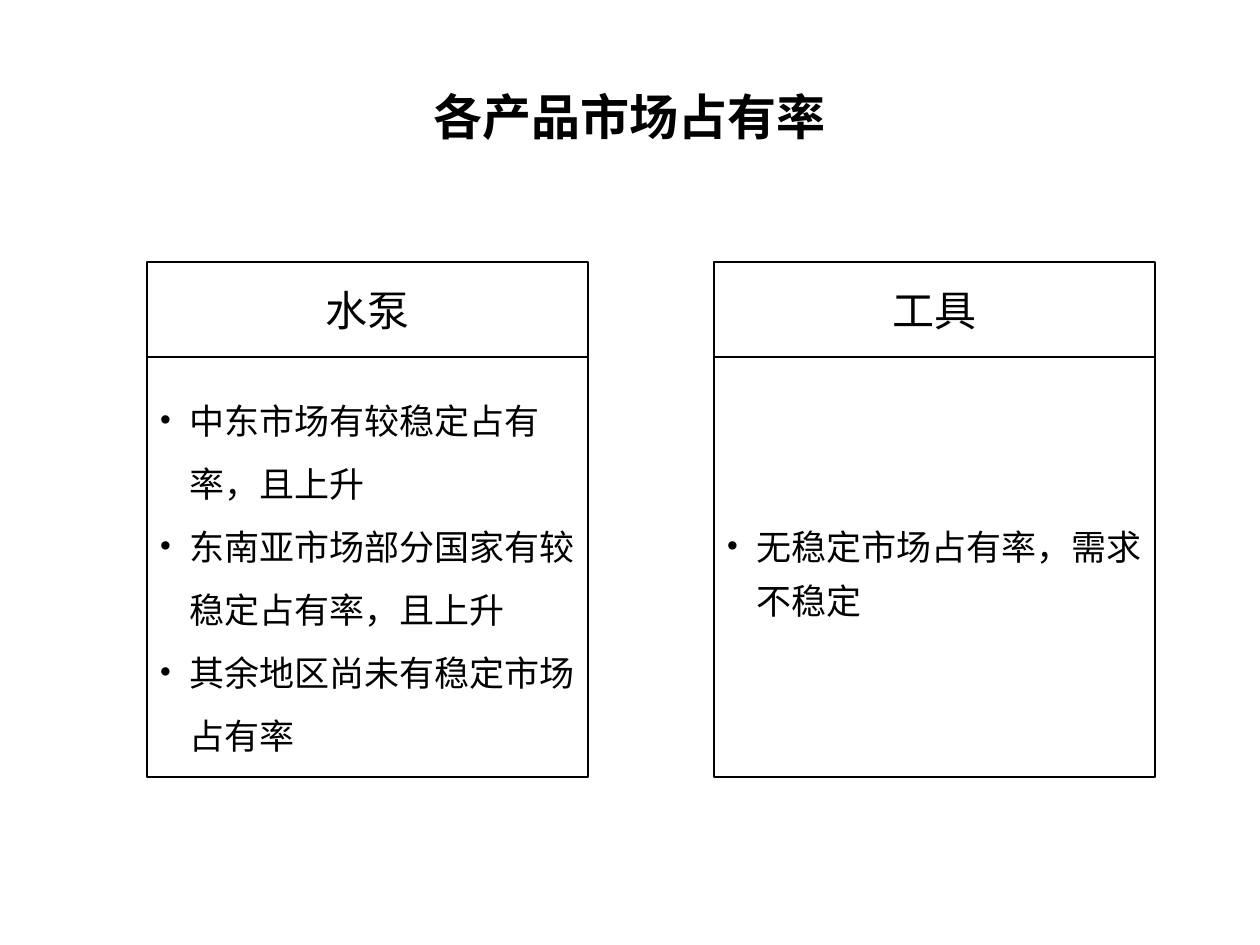
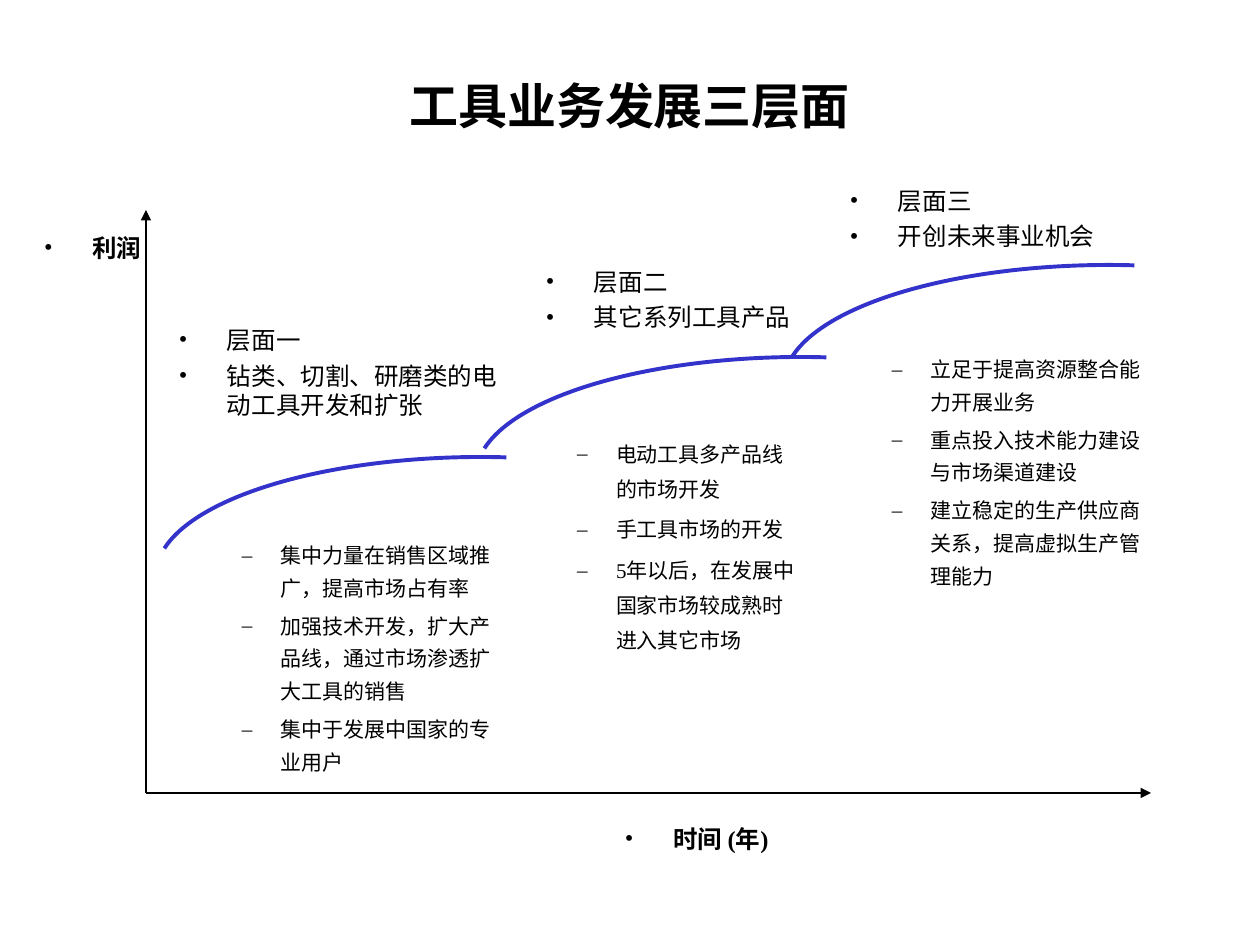
import pptx
import pptx.dml.color
import pptx.enum.shapes
import pptx.enum.text
import pptx.oxml.ns
import pptx.util
from lxml import etree

PX = 914400 / 126
FONT = "Times New Roman"
BLACK = pptx.dml.color.RGBColor(0x00, 0x00, 0x00)
WHITE = pptx.dml.color.RGBColor(0xFF, 0xFF, 0xFF)
CURVE_BLUE = pptx.dml.color.RGBColor(0x33, 0x33, 0xCC)

CENTER = pptx.enum.text.PP_ALIGN.CENTER
LEFT = pptx.enum.text.PP_ALIGN.LEFT
MIDDLE = pptx.enum.text.MSO_ANCHOR.MIDDLE

# Left edge, heading, line spacing, points
PRODUCTS = [
    (147, "水泵", 1.5, ["中东市场有较稳定占有率，且上升",
                      "东南亚市场部分国家有较稳定占有率，且上升",
                      "其余地区尚未有稳定市场占有率"]),
    (714, "工具", 1.3, ["无稳定市场占有率，需求不稳定"]),
]

# Curve corner, heading box, heading lines, notes box, line spacing, notes
HORIZONS = [
    ((156, 457), (179, 325, 328, 95),
     ["层面一", "钻类、切割、研磨类的电动工具开发和扩张"],
     (179, 535, 328, 239), 1.3,
     ["集中力量在销售区域推广，提高市场占有率",
      "加强技术开发，扩大产品线，通过市场渗透扩大工具的销售",
      "集中于发展中国家的专业用户"]),
    ((476, 357), (546, 267, 328, 66),
     ["层面二", "其它系列工具产品"],
     (514, 431, 285, 222), 1.4,
     ["电动工具多产品线的市场开发",
      "手工具市场的开发",
      "5年以后，在发展中国家市场较成熟时进入其它市场"]),
    ((784, 265), (850, 186, 328, 66),
     ["层面三", "开创未来事业机会"],
     (829, 349, 328, 239), 1.3,
     ["立足于提高资源整合能力开展业务",
      "重点投入技术能力建设与市场渠道建设",
      "建立稳定的生产供应商关系，提高虚拟生产管理能力"]),
]


def px(length):
    return pptx.util.Emu(round(length * PX))


def place(box):
    return [px(length) for length in box]


def add_run(paragraph, text, size, bold=False):
    run = paragraph.add_run()
    run.text = text
    run.font.name = FONT
    run.font.size = pptx.util.Pt(size)
    run.font.bold = bold
    run.font.color.rgb = BLACK


def set_bullet(paragraph, char, margin, hanging):
    """Give a paragraph a hanging bullet and keep punctuation inside the box."""
    properties = paragraph._p.get_or_add_pPr()
    properties.set("marL", str(px(margin)))
    properties.set("indent", str(-px(hanging)))
    properties.set("hangingPunct", "0")
    etree.SubElement(properties, pptx.oxml.ns.qn("a:buFont")).set("typeface", FONT)
    etree.SubElement(properties, pptx.oxml.ns.qn("a:buChar")).set("char", char)


def write_list(frame, lines, size, char, margin, hanging,
               spacing=1.0, before=0, bold=False, level=0):
    for index, line in enumerate(lines):
        paragraph = frame.add_paragraph() if index else frame.paragraphs[0]
        set_bullet(paragraph, char, margin, hanging)
        paragraph.level = level
        paragraph.alignment = LEFT
        paragraph.line_spacing = spacing
        paragraph.space_before = pptx.util.Pt(before if index else 0)
        add_run(paragraph, line, size, bold)


def add_titled_slide(deck, title, height):
    slide = deck.slides.add_slide(deck.slide_layouts[5])
    heading = slide.shapes.title
    heading.left, heading.top, heading.width, heading.height = place((94, 84, 1071, height))
    frame = heading.text_frame
    frame.auto_size = pptx.enum.text.MSO_AUTO_SIZE.NONE
    frame.vertical_anchor = MIDDLE
    frame.paragraphs[0].alignment = CENTER
    add_run(frame.paragraphs[0], title, 28, bold=True)
    return slide


def add_panel(slide, box):
    """Add a white outlined rectangle and return its text frame."""
    panel = slide.shapes.add_shape(pptx.enum.shapes.MSO_SHAPE.RECTANGLE, *place(box))
    panel.shadow.inherit = False
    panel.fill.solid()
    panel.fill.fore_color.rgb = WHITE
    panel.line.color.rgb = BLACK
    panel.line.width = pptx.util.Pt(0.75)
    frame = panel.text_frame
    frame.word_wrap = True
    frame.vertical_anchor = MIDDLE
    return frame


def add_text_box(slide, box):
    """Add a text box without insets and return its text frame."""
    frame = slide.shapes.add_textbox(*place(box)).text_frame
    frame.word_wrap = True
    frame.auto_size = pptx.enum.text.MSO_AUTO_SIZE.SHAPE_TO_FIT_TEXT
    frame.margin_left = frame.margin_right = 0
    frame.margin_top = frame.margin_bottom = 0
    return frame


def add_label(slide, box, lines, bold=False):
    write_list(add_text_box(slide, box), lines, 14, "•", 48, 48, before=3.5, bold=bold)


def add_notes_list(slide, box, lines, spacing):
    write_list(add_text_box(slide, box), lines, 12, "–", 102, 39,
               spacing=spacing, before=3, level=1)


def add_axis(slide, start, end):
    axis = slide.shapes.add_connector(
        pptx.enum.shapes.MSO_CONNECTOR.STRAIGHT, *place(start + end))
    axis.line.color.rgb = BLACK
    axis.line.width = pptx.util.Pt(1)
    properties = axis._element.spPr
    outline = properties.find(pptx.oxml.ns.qn("a:ln"))
    etree.SubElement(outline, pptx.oxml.ns.qn("a:tailEnd")).set("type", "triangle")
    etree.SubElement(properties, pptx.oxml.ns.qn("a:effectLst"))


def add_growth_curve(slide, corner):
    """Draw the upper left arc of an ellipse whose box starts at corner."""
    curve = slide.shapes.add_shape(
        pptx.enum.shapes.MSO_SHAPE.ARC, *place(corner + (650, 236)))
    for index, degrees in enumerate((184.8, 282.2)):
        # Angles are stored in 1/60000 degree, adjustments in 1/100000
        curve.adjustments[index] = degrees * 60000 / 100000
    curve.shadow.inherit = False
    curve.fill.background()
    curve.line.color.rgb = CURVE_BLUE
    curve.line.width = pptx.util.Pt(2.25)


def build_market_share(deck):
    slide = add_titled_slide(deck, "各产品市场占有率", 63)
    for left, product, spacing, points in PRODUCTS:
        heading = add_panel(slide, (left, 262, 441, 95)).paragraphs[0]
        heading.alignment = CENTER
        add_run(heading, product, 24)
        body = add_panel(slide, (left, 357, 441, 420))
        write_list(body, points, 20, "•", 30, 30, spacing=spacing)


def build_horizons(deck):
    slide = add_titled_slide(deck, "工具业务发展三层面", 42)
    origin = (146, 793)
    add_axis(slide, origin, (1151, 793))
    add_axis(slide, origin, (146, 210))
    add_label(slide, (44, 233, 144, 29), ["利润"], bold=True)
    add_label(slide, (625, 824, 144, 59), ["时间 (年)"], bold=True)
    for corner, heading_box, heading, notes_box, spacing, notes in HORIZONS:
        add_growth_curve(slide, corner)
        add_label(slide, heading_box, heading)
        add_notes_list(slide, notes_box, notes, spacing)


def main():
    deck = pptx.Presentation()
    deck.slide_width, deck.slide_height = px(1260), px(945)
    build_market_share(deck)
    build_horizons(deck)
    deck.save("out.pptx")


if __name__ == "__main__":
    main()
